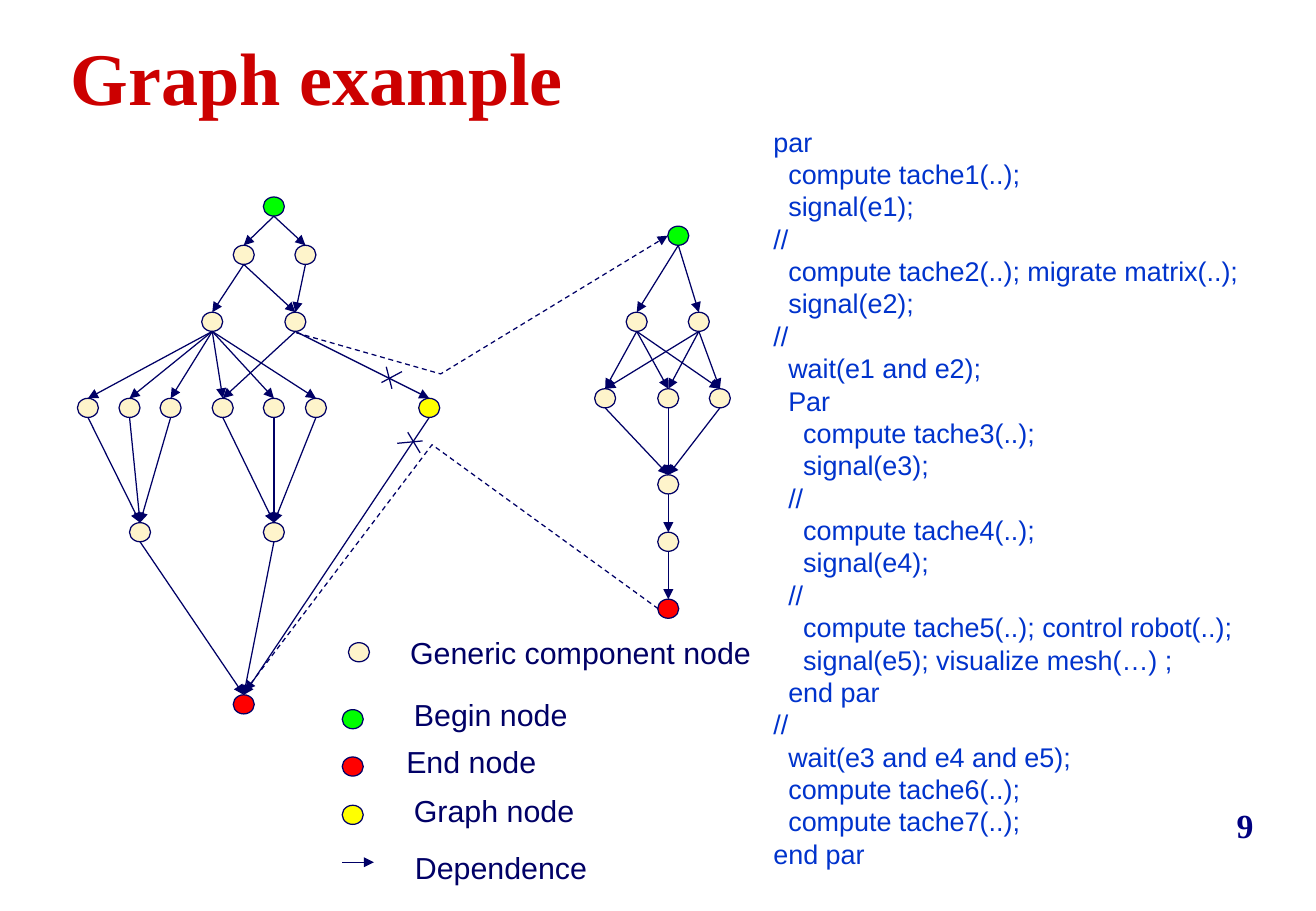
from lxml.etree import SubElement
from pptx import Presentation
from pptx.dml.color import RGBColor
from pptx.enum.dml import MSO_LINE_DASH_STYLE as Dash
from pptx.enum.shapes import MSO_CONNECTOR as Connector, MSO_SHAPE as Shape
from pptx.enum.text import MSO_ANCHOR as Anchor, PP_ALIGN as Align
from pptx.oxml.ns import qn
from pptx.util import Cm, Pt

NAVY = RGBColor(0x00, 0x00, 0x66)
NUMBER_BLUE = RGBColor(0x00, 0x00, 0x80)
CODE_BLUE = RGBColor(0x00, 0x33, 0xCC)
TITLE_RED = RGBColor(0xCC, 0x00, 0x00)
GREEN = RGBColor(0x00, 0xFF, 0x00)
CREAM = RGBColor(0xFE, 0xF4, 0xCB)
YELLOW = RGBColor(0xFF, 0xFF, 0x00)
RED = RGBColor(0xFF, 0x00, 0x00)
NODE_WIDTH, NODE_HEIGHT = 0.44, 0.4


def write_text(shape, text, size, color, font="Arial", bold=False,
               align=Align.LEFT, anchor=Anchor.TOP):
    frame = shape.text_frame
    frame.word_wrap = True
    frame.vertical_anchor = anchor
    frame.text = text
    for paragraph in frame.paragraphs:
        paragraph.alignment = align
        paragraph.font.size = Pt(size)
        paragraph.font.name = font
        paragraph.font.bold = bold
        paragraph.font.color.rgb = color


def style_line(shape, arrow=False, dashed=False):
    shape.line.color.rgb = NAVY
    shape.line.width = Pt(0.75)
    if dashed:
        shape.line.dash_style = Dash.DASH
    properties = shape._element.spPr
    if arrow:
        SubElement(properties.find(qn("a:ln")), qn("a:tailEnd"), type="triangle")
    SubElement(properties, qn("a:effectLst"))


presentation = Presentation()
presentation.slide_width = Cm(27.53)
presentation.slide_height = Cm(19.05)
slide = presentation.slides.add_slide(presentation.slide_layouts[5])
shapes = slide.shapes

# Title
title = shapes.title
title.left, title.top, title.width, title.height = Cm(1.22), Cm(0), Cm(24.77), Cm(3.18)
write_text(title, "Graph example", 44, TITLE_RED, font="Times New Roman",
           bold=True, anchor=Anchor.MIDDLE)

# Graph nodes: centre x, centre y, fill
nodes = {
    "begin": (5.73, 4.32, GREEN),
    "upper left": (5.1, 5.33, CREAM),
    "upper right": (6.39, 5.33, CREAM),
    "fork left": (4.44, 6.73, CREAM),
    "fork right": (6.18, 6.73, CREAM),
    "graph": (8.98, 8.53, YELLOW),
    "join left": (2.93, 11.13, CREAM),
    "join right": (5.73, 11.13, CREAM),
    "end": (5.1, 14.73, RED),
    "sub begin": (14.19, 4.93, GREEN),
    "sub left": (13.32, 6.73, CREAM),
    "sub right": (14.62, 6.73, CREAM),
    "sub join": (13.98, 10.13, CREAM),
    "sub last": (13.98, 11.33, CREAM),
    "sub end": (13.98, 12.73, RED),
}
leaves = [f"leaf {number}" for number in range(1, 7)]
for leaf, x in zip(leaves, (1.84, 2.71, 3.57, 4.66, 5.73, 6.61)):
    nodes[leaf] = (x, 8.53, CREAM)
sub_leaves = [f"sub leaf {number}" for number in range(1, 4)]
for leaf, x in zip(sub_leaves, (12.66, 13.98, 15.06)):
    nodes[leaf] = (x, 8.33, CREAM)

# Legend: node centre, fill, label position, label
legend = [
    (7.51, 13.64, CREAM, 8.33, 13.13, "Generic component node"),
    (7.38, 15.04, GREEN, 8.41, 14.43, "Begin node"),
    (7.38, 16.03, RED, 8.25, 15.42, "End node"),
    (7.38, 17.04, YELLOW, 8.41, 16.43, "Graph node"),
    (None, None, None, 8.43, 17.63, "Dependence"),
]
legend_nodes = [entry[:3] for entry in legend if entry[2]]

for x, y, fill in list(nodes.values()) + legend_nodes:
    node = shapes.add_shape(Shape.OVAL, Cm(x - NODE_WIDTH / 2), Cm(y - NODE_HEIGHT / 2),
                            Cm(NODE_WIDTH), Cm(NODE_HEIGHT))
    node.fill.solid()
    node.fill.fore_color.rgb = fill
    style_line(node)

for *_, left, top, label in legend:
    box = shapes.add_textbox(Cm(left), Cm(top), Cm(7.65), Cm(1.02))
    write_text(box, label, 18, NAVY)

# Dependences run from the bottom of a node to the top of its successors
successors = {
    "begin": ["upper left", "upper right"],
    "upper left": ["fork left", "fork right"],
    "upper right": ["fork right"],
    "fork left": leaves,
    "fork right": ["leaf 4", "graph"],
    **{leaf: ["join left"] for leaf in leaves[:3]},
    **{leaf: ["join right"] for leaf in leaves[3:]},
    "join left": ["end"],
    "join right": ["end"],
    "graph": ["end"],
    "sub begin": ["sub left", "sub right"],
    "sub left": sub_leaves,
    "sub right": sub_leaves,
    **{leaf: ["sub join"] for leaf in sub_leaves},
    "sub join": ["sub last"],
    "sub last": ["sub end"],
}
lines = [(7.16, 18.03, 7.82, 18.03, True)]
for source, targets in successors.items():
    for target in targets:
        x1, y1, _ = nodes[source]
        x2, y2, _ = nodes[target]
        lines.append((x1, y1 + NODE_HEIGHT / 2, x2, y2 - NODE_HEIGHT / 2, True))

# Crosses on the two replaced dependences
lines += [
    (8.41, 7.77, 7.98, 8.0, False),
    (8.08, 7.67, 8.2, 8.13, False),
    (8.53, 9.04, 8.79, 9.47, False),
    (8.31, 9.27, 8.84, 9.22, False),
]
for x1, y1, x2, y2, arrow in lines:
    line = shapes.add_connector(Connector.STRAIGHT, Cm(x1), Cm(y1), Cm(x2), Cm(y2))
    style_line(line, arrow=arrow)

# Dashed links into and out of the subgraph
for start, bend, finish in [
    ((6.2, 6.96), (9.22, 7.82), (13.97, 4.93)),
    ((13.77, 12.73), (9.04, 9.3), (5.13, 14.45)),
]:
    builder = shapes.build_freeform(Cm(start[0]), Cm(start[1]))
    builder.add_line_segments([(Cm(x), Cm(y)) for x, y in (bend, finish)], close=False)
    link = builder.convert_to_shape()
    link.fill.background()
    style_line(link, arrow=True, dashed=True)

# Program listing
code = """par
  compute tache1(..);
  signal(e1);
//
  compute tache2(..); migrate matrix(..);
  signal(e2);
//
  wait(e1 and e2);
  Par
    compute tache3(..);
    signal(e3);
  //
    compute tache4(..);
    signal(e4);
  //
    compute tache5(..); control robot(..);
    signal(e5); visualize mesh(…) ;
  end par
//
  wait(e3 and e4 and e5);
  compute tache6(..);
  compute tache7(..);
end par"""
listing = shapes.add_textbox(Cm(15.93), Cm(2.49), Cm(11.58), Cm(15.82))
write_text(listing, code, 16, CODE_BLUE)

# Slide number
number_box = shapes.add_textbox(Cm(22.23), Cm(16.71), Cm(4.24), Cm(1.07))
write_text(number_box, "9", 20, NUMBER_BLUE, font="Times New Roman", bold=True,
           align=Align.RIGHT, anchor=Anchor.MIDDLE)

presentation.save("out.pptx")
